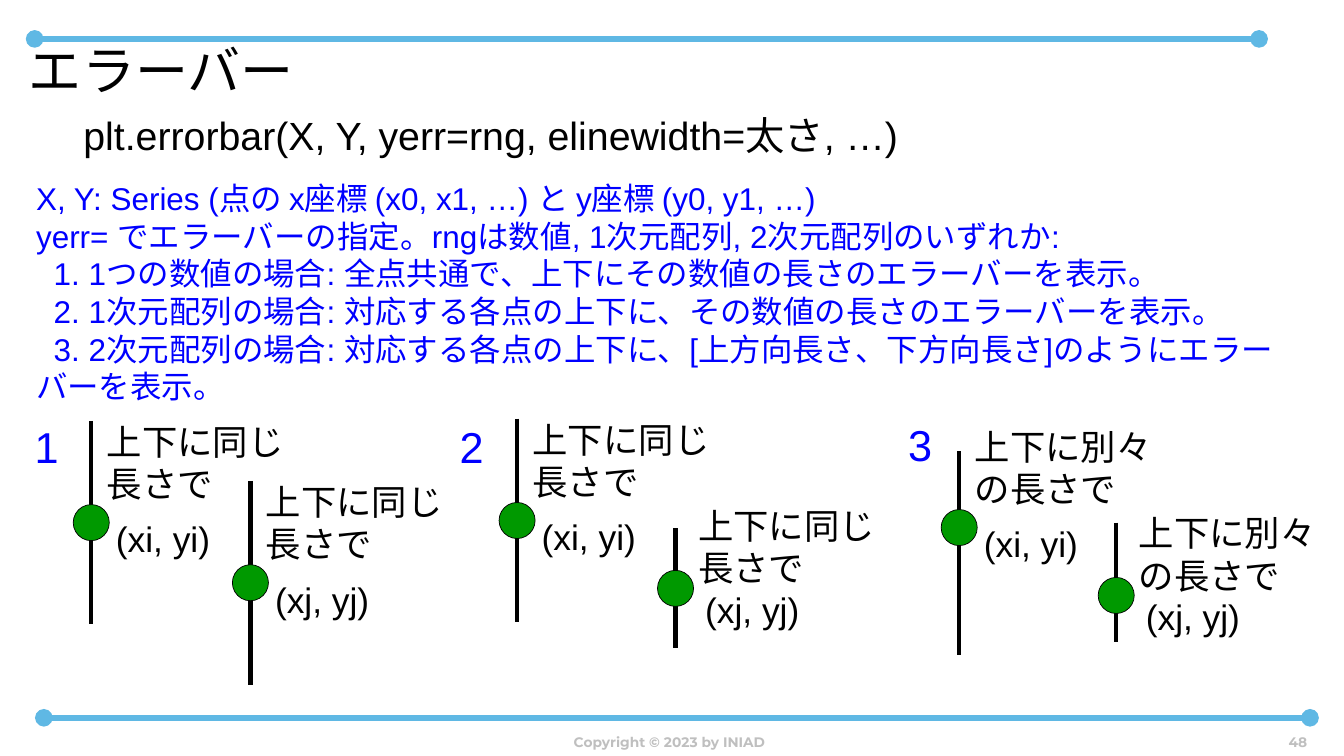
from dataclasses import dataclass

from lxml.etree import SubElement
from pptx import Presentation
from pptx.dml.color import RGBColor
from pptx.enum.shapes import MSO_CONNECTOR, MSO_SHAPE
from pptx.enum.text import MSO_ANCHOR, MSO_AUTO_SIZE, PP_ALIGN
from pptx.oxml.ns import qn
from pptx.util import Inches, Pt

BLACK, BLUE, GREEN, SKY, GRAY = "000000", "0000FF", "009900", "5FB8E4", "BFBFBF"
DOT_SIZE = 0.51


@dataclass(frozen=True)
class Placement:
    note_dx: float
    note_dy: float
    label_dx: float
    label_dy: float


@dataclass(frozen=True)
class ErrorBar:
    x: float
    y: float
    up: float
    down: float
    label: str
    placement: Placement


@dataclass(frozen=True)
class Case:
    number: str
    left: float
    top: float
    note: str
    bars: tuple[ErrorBar, ...]


ROOMY = Placement(0.12, -1.5, 0.25, -0.12)
COMPACT = Placement(0.22, -1.24, 0.32, -0.05)
POINT_I, POINT_J = "(xi, yi)", "(xj, yj)"
SAME, DIFFERENT = "上下に同じ長さで", "上下に別々の長さで"

CASES = (
    Case("1", 0.39, 5.9, SAME, (
        ErrorBar(1.29, 7.39, 1.44, 1.44, POINT_I, ROOMY),
        ErrorBar(3.54, 8.24, 1.44, 1.44, POINT_J, ROOMY))),
    Case("2", 6.4, 5.9, SAME, (
        ErrorBar(7.31, 7.36, 1.44, 1.44, POINT_I, ROOMY),
        ErrorBar(9.55, 8.32, 0.85, 0.85, POINT_J, COMPACT))),
    Case("3", 12.74, 5.86, DIFFERENT, (
        ErrorBar(13.56, 7.46, 1.08, 1.8, POINT_I, ROOMY),
        ErrorBar(15.78, 8.42, 1.03, 0.66, POINT_J, COMPACT))),
)

EXPLANATION = (
    ("X, Y: Series (点の x座標 (x0, x1, …) と y座標 (y0, y1, …)", 0),
    ("yerr= でエラーバーの指定。rngは数値, 1次元配列, 2次元配列のいずれか:", 0),
    ("1. 1つの数値の場合: 全点共通で、上下にその数値の長さのエラーバーを表示。", 0.25),
    ("2. 1次元配列の場合: 対応する各点の上下に、その数値の長さのエラーバーを表示。", 0.25),
    ("3. 2次元配列の場合: 対応する各点の上下に、[上方向長さ、下方向長さ]のようにエラーバーを表示。", 0.25),
)


def color(value: str) -> RGBColor:
    return RGBColor.from_string(value)


def set_font(paragraph, size: float, shade: str, name: str = "Arial", bold: bool = False) -> None:
    font = paragraph.font
    font.size, font.name, font.bold = Pt(size), name, bold
    font.color.rgb = color(shade)


def move(shape, left: float, top: float, width: float, height: float) -> None:
    shape.left, shape.top = Inches(left), Inches(top)
    shape.width, shape.height = Inches(width), Inches(height)


def add_text(slide, text: str, left: float, top: float, width: float, height: float,
             size: float, shade: str = BLACK, wrap: bool = True):
    box = slide.shapes.add_textbox(Inches(left), Inches(top), Inches(width), Inches(height))
    box.text_frame.word_wrap = wrap
    paragraph = box.text_frame.paragraphs[0]
    paragraph.text = text
    set_font(paragraph, size, shade)
    return box.text_frame


def add_footer(slide, text: str, left: float, top: float, width: float, height: float,
               alignment: PP_ALIGN) -> None:
    frame = add_text(slide, text, left, top, width, height, 14)
    frame.vertical_anchor = MSO_ANCHOR.BOTTOM
    frame.paragraphs[0].alignment = alignment
    set_font(frame.paragraphs[0], 14, GRAY, "Montserrat", True)


def add_line(slide, x1: float, y1: float, x2: float, y2: float, shade: str, width: float):
    line = slide.shapes.add_connector(
        MSO_CONNECTOR.STRAIGHT, Inches(x1), Inches(y1), Inches(x2), Inches(y2))
    line.line.color.rgb = color(shade)
    line.line.width = Pt(width)
    SubElement(line._element.spPr, qn("a:effectLst"))
    return line


def add_rule(slide, x1: float, x2: float, y: float) -> None:
    rule = add_line(slide, x1, y, x2, y, SKY, 6)
    outline = rule.line._get_or_add_ln()
    for end in ("a:headEnd", "a:tailEnd"):
        SubElement(outline, qn(end), type="oval")


def add_error_bar(slide, bar: ErrorBar, note: str) -> None:
    add_line(slide, bar.x, bar.y - bar.up, bar.x, bar.y + bar.down, BLACK, 4.5)
    dot = slide.shapes.add_shape(
        MSO_SHAPE.OVAL, Inches(bar.x - DOT_SIZE / 2), Inches(bar.y - DOT_SIZE / 2),
        Inches(DOT_SIZE), Inches(DOT_SIZE))
    dot.shadow.inherit = False
    dot.fill.solid()
    dot.fill.fore_color.rgb = color(GREEN)
    dot.line.color.rgb = color(BLACK)
    dot.line.width = Pt(0.75)
    place = bar.placement
    add_text(slide, bar.label, bar.x + place.label_dx, bar.y + place.label_dy,
             1.85, 0.71, 36, wrap=False)
    add_text(slide, note, bar.x + place.note_dx, bar.y + place.note_dy, 3.11, 1.31, 36)


def fill_title(title) -> None:
    move(title, 0.41, 0.53, 17.39, 1.55)
    frame = title.text_frame
    frame.margin_left = frame.margin_right = frame.margin_top = frame.margin_bottom = 0
    frame.vertical_anchor = MSO_ANCHOR.TOP
    frame.auto_size = MSO_AUTO_SIZE.NONE
    paragraph = frame.paragraphs[0]
    paragraph.text = "エラーバー"
    paragraph.alignment = PP_ALIGN.LEFT
    set_font(paragraph, 54, BLACK, "TeX Gyre Adventor")


def fill_explanation(body) -> None:
    move(body, 0.41, 2.48, 18.18, 3.33)
    frame = body.text_frame
    frame.auto_size = MSO_AUTO_SIZE.NONE
    for index, (text, indent) in enumerate(EXPLANATION):
        paragraph = frame.add_paragraph() if index else frame.paragraphs[0]
        paragraph.text = text
        paragraph.space_before = Pt(0)
        properties = paragraph._p.get_or_add_pPr()
        properties.set("marL", "0")
        properties.set("indent", str(Inches(indent)))
        SubElement(properties, qn("a:buNone"))
        set_font(paragraph, 32, BLUE)


def main() -> None:
    presentation = Presentation()
    presentation.slide_width, presentation.slide_height = Inches(19), Inches(10.69)
    slide = presentation.slides.add_slide(presentation.slide_layouts[1])
    add_rule(slide, 0.49, 17.8, 0.55)
    add_rule(slide, 0.62, 18.52, 10.15)
    fill_title(slide.shapes.title)
    fill_explanation(slide.placeholders[1])
    add_footer(slide, "Copyright © 2023 by INIAD", 0.44, 10.15, 18.05, 0.51, PP_ALIGN.CENTER)
    add_footer(slide, "48", 17.54, 10.16, 1.04, 0.5, PP_ALIGN.RIGHT)
    add_text(slide, "plt.errorbar(X, Y, yerr=rng, elinewidth=太さ, …)",
             1.08, 1.53, 13.42, 0.77, 40, wrap=False)
    for case in CASES:
        add_text(slide, case.number, case.left, case.top, 0.55, 0.84, 44, BLUE)
        for bar in case.bars:
            add_error_bar(slide, bar, case.note)
    presentation.save("out.pptx")


if __name__ == "__main__":
    main()
